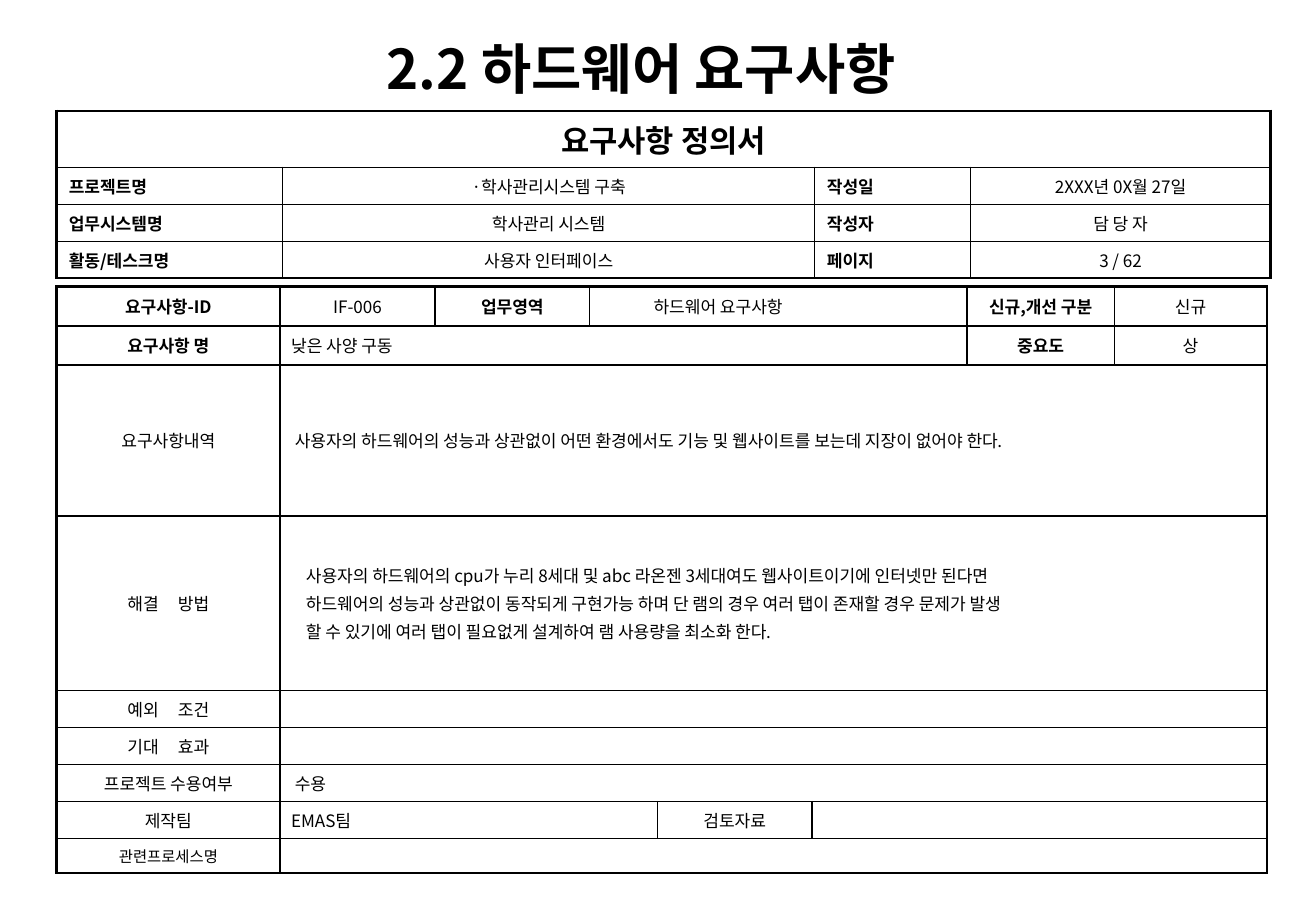
from lxml import etree
from pptx import Presentation
from pptx.dml.color import RGBColor
from pptx.enum.text import MSO_ANCHOR, MSO_AUTO_SIZE, PP_ALIGN
from pptx.oxml.ns import qn
from pptx.util import Inches, Pt

LEFT, CENTER = PP_ALIGN.LEFT, PP_ALIGN.CENTER
MIDDLE, TOP = MSO_ANCHOR.MIDDLE, MSO_ANCHOR.TOP
TITLE_ONLY = 5

FONT = "Noto Sans CJK KR"
COLORS = {"ink": "000000", "paper": "FFFFFF"}
THICK, THIN = 1.5, 1
PAGE_WIDTH, PAGE_HEIGHT = 10.71, 7.5
TABLE_LEFT = 0.46

TITLE = "2.2 하드웨어 요구사항"

# Formats shared by cells
LABEL = {"bold": True, "align": CENTER}
SIDE_LABEL = {"bold": True}
VALUE = {"align": CENTER}
PLAIN = {}
SLIGHT = {"indent": 0.03}
WIDE_SPACE = {"align": CENTER, "space_width": 9}

# Each cell: text, column span, format
SUMMARY = {
    "top": 0.9, "margin": 0.1, "thick_below": (),
    "columns": [1.84, 4.33, 1.27, 2.44],
    "rows": [0.43, 0.26, 0.26, 0.26],
    "cells": [
        [("요구사항 정의서", 4, {"size": 18, **LABEL})],
        [("프로젝트명", 1, SIDE_LABEL), ("·학사관리시스템 구축", 1, VALUE),
         ("작성일", 1, SIDE_LABEL), ("2XXX년 0X월 27일", 1, VALUE)],
        [("업무시스템명", 1, SIDE_LABEL), ("학사관리 시스템", 1, VALUE),
         ("작성자", 1, SIDE_LABEL), ("담 당 자", 1, VALUE)],
        [("활동/테스크명", 1, SIDE_LABEL), ("사용자 인터페이스", 1, VALUE),
         ("페이지", 1, SIDE_LABEL), ("3 / 62", 1, VALUE)],
    ],
}

SOLUTION = """사용자의 하드웨어의 cpu가 누리 8세대 및 abc 라온젠 3세대여도 웹사이트이기에 인터넷만 된다면
하드웨어의 성능과 상관없이 동작되게 구현가능 하며 단 램의 경우 여러 탭이 존재할 경우 문제가 발생
할 수 있기에 여러 탭이 필요없게 설계하여 램 사용량을 최소화 한다."""

REQUIREMENT = {
    "top": 2.33, "margin": 0.09, "thick_below": (0, 1),
    "columns": [1.82, 1.26, 1.26, 0.55, 1.26, 1.26, 1.2, 1.24],
    "rows": [0.32, 0.32, 1.23, 1.42] + [0.25] * 5,
    "cells": [
        [("요구사항-ID", 1, LABEL), ("IF-006", 1, VALUE), ("업무영역", 1, LABEL),
         ("하드웨어 요구사항", 3, {"indent": 0.43}),
         ("신규,개선 구분", 1, LABEL), ("신규", 1, VALUE)],
        [("요구사항 명", 1, LABEL), ("낮은 사양 구동", 5, PLAIN),
         ("중요도", 1, LABEL), ("상", 1, VALUE)],
        [("요구사항내역", 1, VALUE),
         ("사용자의 하드웨어의 성능과 상관없이 어떤 환경에서도 기능 및 웹사이트를 "
          "보는데 지장이 없어야 한다.", 7, SLIGHT)],
        [("해결 방법", 1, WIDE_SPACE), (SOLUTION, 7, {"indent": 0.12})],
        [("예외 조건", 1, WIDE_SPACE), ("", 7, PLAIN)],
        [("기대 효과", 1, WIDE_SPACE), ("", 7, PLAIN)],
        [("프로젝트 수용여부", 1, VALUE), ("수용", 7, SLIGHT)],
        [("제작팀", 1, VALUE), ("EMAS팀", 3, PLAIN), ("검토자료", 1, VALUE), ("", 3, PLAIN)],
        [("관련프로세스명", 1, {"size": 9, **VALUE}), ("", 7, PLAIN)],
    ],
}


def add_span(para, text, size, bold, spacing=0):
    span = para.add_run()
    span.text = text
    span.font.name = FONT
    span.font.size = Pt(size)
    span.font.bold = bold
    span.font.color.rgb = RGBColor.from_string(COLORS["ink"])
    properties = span.font._element
    etree.SubElement(properties, qn("a:ea"), typeface=FONT)
    if spacing:
        properties.set("spc", str(spacing * 100))


def write(frame, text, size=10, bold=False, align=LEFT, indent=0, space_width=0,
          line_spacing=None):
    """Write one paragraph per line; space_width widens the spaces, in points."""
    for number, line in enumerate(text.split("\n")):
        para = frame.add_paragraph() if number else frame.paragraphs[0]
        para.alignment = align
        para.line_spacing = line_spacing
        if number:
            para.space_before = Pt(2)
        if indent:
            para._p.get_or_add_pPr().set("marL", str(Inches(indent)))
        if not line:
            etree.SubElement(para._p, qn("a:endParaRPr"), sz="900")
        elif space_width:
            first, second = line.split(" ")
            add_span(para, first, size, bold)
            add_span(para, " ", size, bold, space_width)
            add_span(para, second, size, bold)
        else:
            add_span(para, line, size, bold)


def style_cell(cell, borders):
    """Draw the borders, given as side to width in points, and fill the cell."""
    properties = cell._tc.get_or_add_tcPr()
    for side, width in borders.items():
        line = etree.SubElement(properties, qn("a:ln" + side), w=str(Pt(width)))
        fill = etree.SubElement(line, qn("a:solidFill"))
        etree.SubElement(fill, qn("a:srgbClr"), val=COLORS["ink"])
    cell.fill.solid()
    cell.fill.fore_color.rgb = RGBColor.from_string(COLORS["paper"])


def add_form(page, form):
    columns, rows = form["columns"], form["rows"]
    table = page.shapes.add_table(
        len(rows), len(columns), Inches(TABLE_LEFT), Inches(form["top"]),
        Inches(sum(columns)), Inches(sum(rows))).table
    table.first_row = table.horz_banding = False
    for column, width in zip(table.columns, columns):
        column.width = Inches(width)
    for row, height in zip(table.rows, rows):
        row.height = Inches(height)

    thick_lines = {0, len(rows)} | {row + 1 for row in form["thick_below"]}
    for row, entries in enumerate(form["cells"]):
        start = 0
        for text, width, style in entries:
            end = start + width
            cell = table.cell(row, start)
            if width > 1:
                cell.merge(table.cell(row, end - 1))
            cell.margin_left = cell.margin_right = Inches(form["margin"])
            cell.vertical_anchor = MIDDLE
            write(cell.text_frame, text, **style)
            borders = {
                "L": THIN if start else THICK,
                "R": THICK if end == len(columns) else THIN,
                "T": THICK if row in thick_lines else THIN,
                "B": THICK if row + 1 in thick_lines else THIN,
            }
            style_cell(cell, borders)
            for column in range(start + 1, end):
                sides = "RTB" if column == end - 1 else "TB"
                style_cell(table.cell(row, column), {side: borders[side] for side in sides})
            start = end


def add_title(page):
    title = page.shapes.title
    title.left, title.top = Inches(1.7), Inches(0.18)
    title.width, title.height = Inches(7.04), Inches(0.81)
    frame = title.text_frame
    frame.word_wrap = True
    frame.auto_size = MSO_AUTO_SIZE.NONE
    frame.vertical_anchor = TOP
    write(frame, TITLE, size=32, bold=True, align=CENTER, line_spacing=1.1)


def main():
    deck = Presentation()
    deck.slide_width, deck.slide_height = Inches(PAGE_WIDTH), Inches(PAGE_HEIGHT)
    page = deck.slides.add_slide(deck.slide_layouts[TITLE_ONLY])
    add_title(page)
    for form in (SUMMARY, REQUIREMENT):
        add_form(page, form)
    deck.save("out.pptx")


if __name__ == "__main__":
    main()
